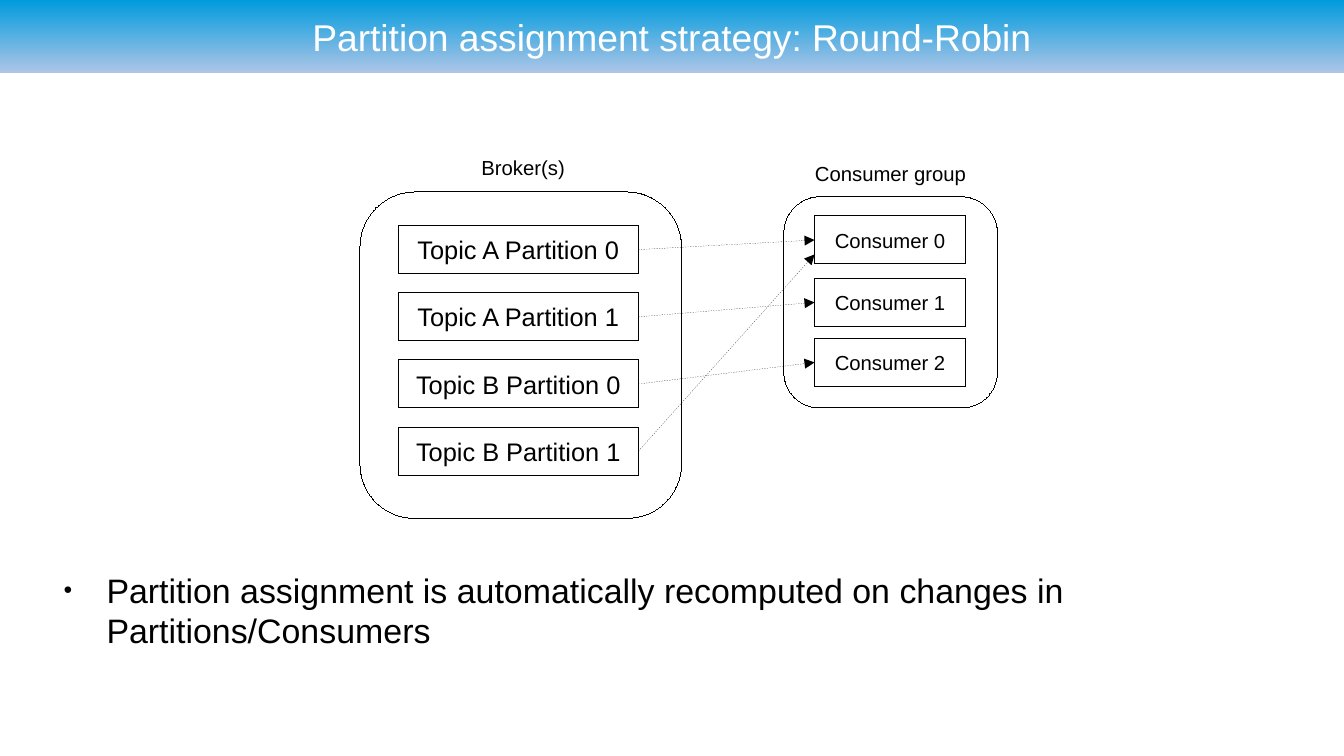
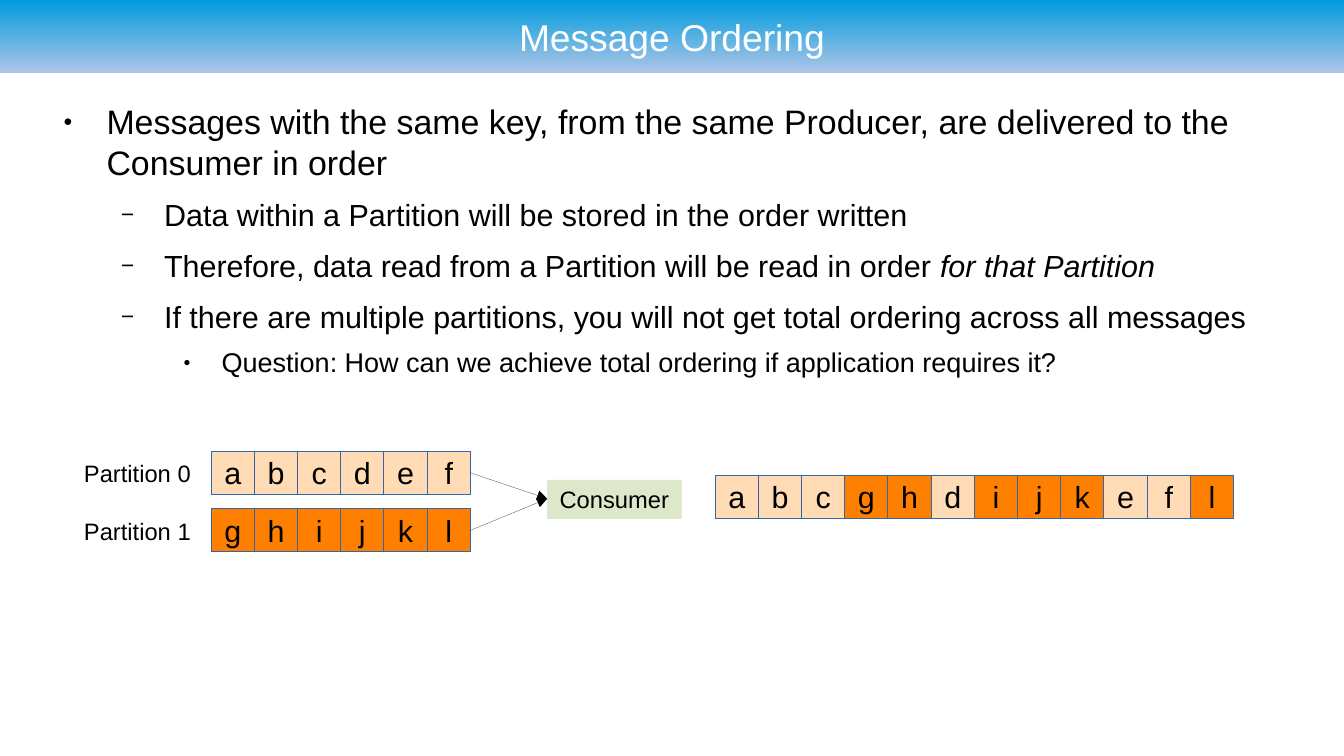
from dataclasses import dataclass

from lxml.etree import SubElement
from pptx import Presentation
from pptx.dml.color import RGBColor
from pptx.enum.dml import MSO_LINE
from pptx.enum.shapes import MSO_CONNECTOR, MSO_SHAPE
from pptx.enum.text import MSO_ANCHOR, PP_ALIGN
from pptx.oxml.ns import qn
from pptx.util import Cm, Pt


@dataclass(frozen=True)
class Theme:
    font: str = "Arial"
    ink: str = "000000"
    title_ink: str = "FFFFFF"
    band_top: str = "009BDD"
    band_bottom: str = "ADC5E7"
    cell_line: str = "3465A4"
    light_cell: str = "FFDBB6"
    strong_cell: str = "FF8000"
    consumer: str = "DDE8CB"
    title_size: float = 22
    cell_size: float = 18
    partition_size: float = 15
    label_size: float = 14
    small_size: float = 12
    hairline: float = 0.01


@dataclass(frozen=True)
class BulletLevel:
    size: float
    left: float
    hanging: float
    space: float
    mark: str
    mark_percent: int


THEME = Theme()
LEVELS = (
    BulletLevel(20, 1.2, 0.9, 10.6, "●", 45),
    BulletLevel(18, 2.4, 0.9, 8.5, "−", 75),
    BulletLevel(16, 3.6, 0.8, 6.3, "●", 45),
)
SLIDE_WIDTH, SLIDE_HEIGHT = 28, 15.75
CELL = 0.9


def rgb(value):
    return RGBColor.from_string(value)


def set_font(paragraph, size, color=THEME.ink):
    font = paragraph.font
    font.name = THEME.font
    font.size = Pt(size)
    font.color.rgb = rgb(color)


def set_insets(frame, horizontal, vertical):
    frame.margin_left = frame.margin_right = Cm(horizontal)
    frame.margin_top = frame.margin_bottom = Cm(vertical)


def write_line(frame, text, size, color=THEME.ink, align=PP_ALIGN.CENTER):
    frame.word_wrap = False
    frame.vertical_anchor = MSO_ANCHOR.MIDDLE
    set_insets(frame, 0.25, 0.13)
    paragraph = frame.paragraphs[0]
    paragraph.text = text
    paragraph.alignment = align
    set_font(paragraph, size, color)


def add_label(slide, area, text, size, color=THEME.ink, align=PP_ALIGN.CENTER):
    label = slide.shapes.add_textbox(*map(Cm, area))
    write_line(label.text_frame, text, size, color, align)


def set_hairline(line, color):
    line.color.rgb = rgb(color)
    line.width = Pt(THEME.hairline)


def add_box(slide, area, text="", size=THEME.small_size, fill=None,
            line=THEME.ink, preset=MSO_SHAPE.RECTANGLE):
    box = slide.shapes.add_shape(preset, *map(Cm, area))
    box.shadow.inherit = False
    if fill:
        box.fill.solid()
        box.fill.fore_color.rgb = rgb(fill)
    else:
        box.fill.background()
    if line:
        set_hairline(box.line, line)
    else:
        box.line.fill.background()
    if text:
        write_line(box.text_frame, text, size)
    return box


def add_arrow(slide, start, end, dash=None):
    arrow = slide.shapes.add_connector(
        MSO_CONNECTOR.STRAIGHT, *map(Cm, (*start, *end)))
    set_hairline(arrow.line, THEME.ink)
    if dash:
        arrow.line.dash_style = dash
    properties = arrow._element.spPr
    SubElement(properties.find(qn("a:ln")), qn("a:tailEnd"), type="triangle")
    SubElement(properties, qn("a:effectLst"))


def add_outline(slide, area):
    outline = add_box(slide, area, preset=MSO_SHAPE.ROUNDED_RECTANGLE)
    outline.adjustments[0] = 0.17


def format_bullet(paragraph, level):
    properties = paragraph._p.get_or_add_pPr()
    properties.set("marL", str(Cm(level.left)))
    properties.set("indent", str(-Cm(level.hanging)))
    mark_color = SubElement(properties, qn("a:buClr"))
    SubElement(mark_color, qn("a:srgbClr"), val=THEME.ink)
    SubElement(properties, qn("a:buSzPct"), val=str(level.mark_percent * 1000))
    SubElement(properties, qn("a:buFont"), typeface=THEME.font)
    SubElement(properties, qn("a:buChar"), char=level.mark)
    set_font(paragraph, level.size)


def add_bullets(slide, top, height, items):
    body = slide.shapes.add_textbox(Cm(1.02), Cm(top), Cm(25.9), Cm(height))
    frame = body.text_frame
    frame.word_wrap = True
    set_insets(frame, 0, 0)
    for index, (depth, text, emphasis) in enumerate(items):
        paragraph = frame.add_paragraph() if index else frame.paragraphs[0]
        level = LEVELS[depth]
        paragraph.level = depth
        if index:
            paragraph.space_before = Pt(level.space)
        format_bullet(paragraph, level)
        paragraph.add_run().text = text
        if emphasis:
            stressed = paragraph.add_run()
            stressed.text = emphasis
            stressed.font.italic = True


def add_titled_slide(deck, title):
    slide = deck.slides.add_slide(deck.slide_layouts[6])
    band = add_box(slide, (0, 0, SLIDE_WIDTH, 1.52), line=None)
    band.fill.gradient()
    band.fill.gradient_angle = 90
    for stop, color in zip(band.fill.gradient_stops,
                           (THEME.band_bottom, THEME.band_top)):
        stop.color.rgb = rgb(color)
    add_label(slide, (1.4, 0.1, 25.2, 1.32), title,
              THEME.title_size, THEME.title_ink)
    return slide


def add_cells(slide, left, top, letters, strong_letters):
    for index, letter in enumerate(letters):
        fill = THEME.strong_cell if letter in strong_letters else THEME.light_cell
        add_box(slide, (left + index * CELL, top, CELL, CELL), letter,
                THEME.cell_size, fill, THEME.cell_line)


def build_round_robin(deck):
    slide = add_titled_slide(deck, "Partition assignment strategy: Round-Robin")
    box_height = 1
    partition_left, partition_width = 8.3, 5
    partition_tops = [4.7 + 1.4 * index for index in range(4)]
    consumer_left, consumer_width = 16.97, 3.15
    consumer_tops = (4.5, 5.8, 7.05)
    middle = box_height / 2

    assignments = ((0, 0), (1, 0), (2, 0), (0, 0.3))
    for top, (consumer, offset) in zip(partition_tops, assignments):
        add_arrow(slide, (partition_left + partition_width, top + middle),
                  (consumer_left, consumer_tops[consumer] + middle + offset),
                  MSO_LINE.ROUND_DOT)

    add_outline(slide, (7.5, 4, 6.7, 6.8))
    add_label(slide, (9.25, 3.1, 3.3, 0.76), "Broker(s)", THEME.small_size)
    add_outline(slide, (16.33, 4.1, 4.45, 4.4))
    add_label(slide, (16.33, 3.23, 4.45, 0.76), "Consumer group",
              THEME.small_size)

    for index, top in enumerate(partition_tops):
        topic, partition = "AB"[index // 2], index % 2
        add_box(slide, (partition_left, top, partition_width, box_height),
                f"Topic {topic} Partition {partition}", THEME.partition_size)
    for index, top in enumerate(consumer_tops):
        add_box(slide, (consumer_left, top, consumer_width, box_height),
                f"Consumer {index}")

    add_bullets(slide, 11.86, 2.2, (
        (0, "Partition assignment is automatically recomputed on changes in "
            "Partitions/Consumers", ""),
    ))


def build_message_ordering(deck):
    slide = add_titled_slide(deck, "Message Ordering")
    add_bullets(slide, 2.1, 6.5, (
        (0, "Messages with the same key, from the same Producer, are delivered "
            "to the Consumer in order", ""),
        (1, "Data within a Partition will be stored in the order written", ""),
        (1, "Therefore, data read from a Partition will be read in order ",
         "for that Partition"),
        (1, "If there are multiple partitions, you will not get total ordering "
            "across all messages", ""),
        (2, "Question: How can we achieve total ordering if application "
            "requires it?", ""),
    ))

    partitions = ("abcdef", "ghijkl")
    cells_left = 4.4
    consumer_left, consumer_middle = 11.4, 10.39
    add_box(slide, (consumer_left, 10, 2.8, 0.81), "Consumer",
            THEME.label_size, THEME.consumer, None)
    for index, letters in enumerate(partitions):
        top = 9.4 + 1.2 * index
        add_label(slide, (1.5, top + 0.05, 2.74, 0.81), f"Partition {index}",
                  THEME.label_size, align=PP_ALIGN.LEFT)
        add_cells(slide, cells_left, top, letters, partitions[1])
        add_arrow(slide, (cells_left + len(letters) * CELL, top + CELL / 2),
                  (consumer_left, consumer_middle))
    add_cells(slide, 14.9, 9.9, "abcghdijkefl", partitions[1])


def main():
    deck = Presentation()
    deck.slide_width = Cm(SLIDE_WIDTH)
    deck.slide_height = Cm(SLIDE_HEIGHT)
    build_round_robin(deck)
    build_message_ordering(deck)
    deck.save("out.pptx")


if __name__ == "__main__":
    main()
